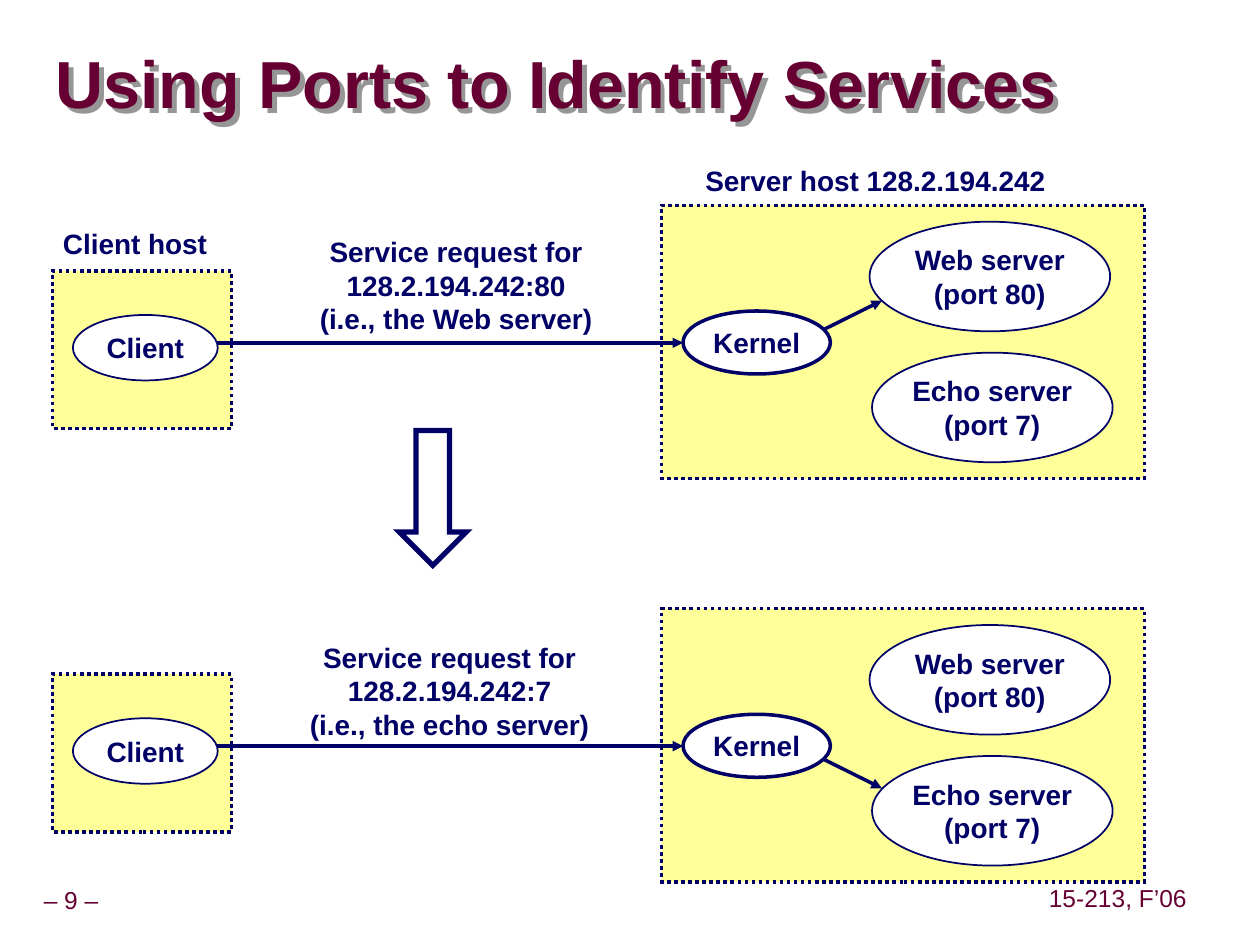
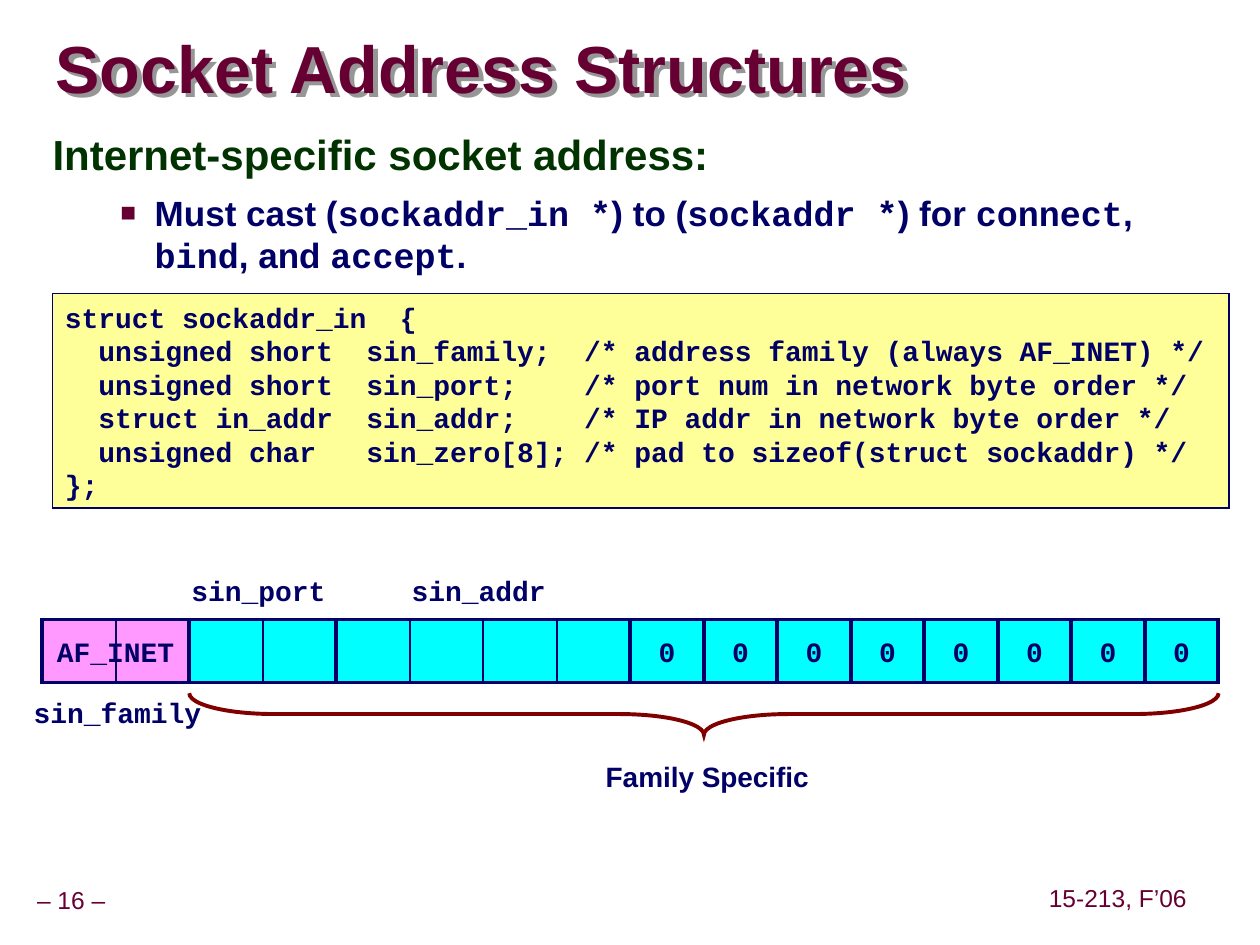
from dataclasses import dataclass
from typing import Any, NamedTuple

import pptx
import pptx.dml.color
import pptx.enum.dml
import pptx.enum.shapes
import pptx.enum.text
import pptx.oxml
import pptx.oxml.ns
import pptx.util

Cm, Pt = pptx.util.Cm, pptx.util.Pt
SHAPE = pptx.enum.shapes.MSO_SHAPE
ALIGN = pptx.enum.text.PP_ALIGN
ANCHOR = pptx.enum.text.MSO_ANCHOR
DOTTED = pptx.enum.dml.MSO_LINE.ROUND_DOT

NAVY, MAROON, GREEN, BRACE_RED = "000066", "660033", "003300", "800000"
YELLOW, PINK, CYAN, WHITE = "FFFF99", "FF99FF", "00FFFF", "FFFFFF"
SANS, MONO = "Arial", "Courier New"
LABEL_HEIGHT = 0.94


class Frame(NamedTuple):
    """Left, top, width and height in centimetres."""
    left: float
    top: float
    width: float
    height: float

    def lowered(self, distance: float) -> "Frame":
        return self._replace(top=self.top + distance)

    def lengths(self) -> list[Any]:
        return [Cm(value) for value in self]


@dataclass(frozen=True)
class TextStyle:
    size: float = 16
    font: str = SANS
    color: str = NAVY
    bold: bool = True
    align: Any = ALIGN.LEFT
    anchor: Any = ANCHOR.TOP
    wrap: bool = False
    spacing: float = 1.0
    margins: tuple[float, float] = (0.25, 0.13)


@dataclass(frozen=True)
class Scenario:
    """One request: how far down it is drawn, its label, and its way up (-1) or down (1)."""
    drop: float
    request_frame: Frame
    request: str
    direction: int
    request_wraps: bool


LABEL = TextStyle()
CENTERED = TextStyle(align=ALIGN.CENTER)
INSIDE = TextStyle(align=ALIGN.CENTER, anchor=ANCHOR.MIDDLE)
CODE_LABEL = TextStyle(font=MONO)
CODE_INSIDE = TextStyle(font=MONO, align=ALIGN.CENTER, anchor=ANCHOR.MIDDLE)
CODE_BLOCK = TextStyle(font=MONO, wrap=True)
BODY = TextStyle(wrap=True)
TITLE = TextStyle(38, color=MAROON, anchor=ANCHOR.MIDDLE, wrap=True, spacing=0.87, margins=(0, 0))
FOOTER = TextStyle(14, color=MAROON, bold=False, align=ALIGN.CENTER, anchor=ANCHOR.MIDDLE,
                   spacing=0.9, margins=(0.13, 0.13))

REQUEST_SCENARIOS = [
    Scenario(0, Frame(5.51, 4.6, 7.37, 2.29),
             "Service request for\n128.2.194.242:80\n(i.e., the Web server)", -1, True),
    Scenario(8.13, Frame(5.99, 12.78, 6.15, 2.29),
             "Service request for\n128.2.194.242:7\n(i.e., the echo server)", 1, False),
]

STRUCT_CODE = """struct sockaddr_in  {
  unsigned short  sin_family;  /* address family (always AF_INET) */
  unsigned short  sin_port;    /* port num in network byte order */
  struct in_addr  sin_addr;    /* IP addr in network byte order */
  unsigned char   sin_zero[8]; /* pad to sizeof(struct sockaddr) */
};"""

CAST_NOTE = [
    ("Must cast (", SANS), ("sockaddr_in *", MONO), (") to (", SANS), ("sockaddr *", MONO),
    (") for ", SANS), ("connect", MONO), (", ", SANS), ("bind", MONO), (", and ", SANS),
    ("accept", MONO), (".", SANS),
]


def rgb(color: str) -> Any:
    return pptx.dml.color.RGBColor.from_string(color)


def apply(target: Any, values: dict[str, Any]) -> None:
    for name, value in values.items():
        setattr(target, name, value)


def append_xml(parent: Any, tag: str, content: str = "", **attributes: Any) -> None:
    listed = " ".join(f'{name}="{value}"' for name, value in attributes.items())
    namespace = pptx.oxml.ns.nsdecls("a")
    parent.append(pptx.oxml.parse_xml(f"<a:{tag} {namespace} {listed}>{content}</a:{tag}>"))


def set_frame(box: Any, style: TextStyle) -> None:
    side, edge = (Cm(value) for value in style.margins)
    apply(box.text_frame, {
        "word_wrap": style.wrap, "vertical_anchor": style.anchor,
        "margin_left": side, "margin_right": side, "margin_top": edge, "margin_bottom": edge,
    })


def add_span(para: Any, text: str, size: float, font: str, color: str, bold: bool = True) -> None:
    span = para.add_run()
    span.text = text
    apply(span.font, {"size": Pt(size), "name": font, "bold": bold})
    span.font.color.rgb = rgb(color)


def write(box: Any, text: str, style: TextStyle) -> None:
    set_frame(box, style)
    for index, line in enumerate(text.split("\n")):
        para = box.text_frame.add_paragraph() if index else box.text_frame.paragraphs[0]
        apply(para, {"alignment": style.align, "line_spacing": style.spacing})
        add_span(para, line, style.size, style.font, style.color, style.bold)


def add_text(page: Any, frame: Frame, text: str, style: TextStyle) -> Any:
    box = page.shapes.add_textbox(*frame.lengths())
    write(box, text, style)
    return box


def add_box(page: Any, kind: Any, frame: Frame, fill: str | None, width: float,
            text: str = "", style: TextStyle = INSIDE, line: str = NAVY, dash: Any = None) -> Any:
    shape = page.shapes.add_shape(kind, *frame.lengths())
    shape.shadow.inherit = False
    if fill:
        shape.fill.solid()
        shape.fill.fore_color.rgb = rgb(fill)
    else:
        shape.fill.background()
    shape.line.color.rgb = rgb(line)
    apply(shape.line, {"width": Pt(width), "dash_style": dash})
    append_xml(shape.element.spPr.get_or_add_ln(), "miter", lim=800000)
    if text:
        write(shape, text, style)
    return shape


def add_arrow(page: Any, start: tuple[float, float], end: tuple[float, float]) -> None:
    arrow = page.shapes.add_connector(pptx.enum.shapes.MSO_CONNECTOR.STRAIGHT,
                                      *(Cm(value) for value in start + end))
    arrow.line.color.rgb = rgb(NAVY)
    arrow.line.width = Pt(2)
    properties = arrow.element.spPr
    append_xml(properties.get_or_add_ln(), "tailEnd", type="triangle")
    append_xml(properties, "effectLst")


def add_page(deck: Any, title: str, title_top: float, number: int) -> Any:
    """Add a page with its shadowed title and both footers."""
    page = deck.slides.add_slide(deck.slide_layouts[6])
    add_text(page, Frame(-0.23, 17.78, 3.33, 0.79), f"– {number} –", FOOTER)
    add_text(page, Frame(21.01, 17.75, 3.05, 0.79), "15-213, F’06", FOOTER)
    heading = add_text(page, Frame(1.12, title_top, 24.21, 2.16), title, TITLE)
    append_xml(heading.element.spPr, "effectLst",
               f'<a:outerShdw dist="{Cm(0.13)}" dir="2700000"><a:srgbClr val="969696"/></a:outerShdw>')
    return page


def add_scenario(page: Any, scenario: Scenario) -> None:
    """Draw the hosts, then the servers, the arrows, and the ovals that cover the arrow starts."""
    drop, direction = scenario.drop, scenario.direction
    middle = 6.91 + drop
    for host in (Frame(1.06, 5.46, 3.61, 3.18), Frame(13.34, 4.14, 9.73, 5.51)):
        add_box(page, SHAPE.RECTANGLE, host.lowered(drop), YELLOW, 2, dash=DOTTED)

    def add_oval(frame: Frame, width: float, text: str) -> None:
        add_box(page, SHAPE.OVAL, frame.lowered(drop), WHITE, width, text)

    add_oval(Frame(17.53, 4.47, 4.85, 2.21), 1, "Web server\n(port 80)")
    add_oval(Frame(17.58, 7.11, 4.85, 2.21), 1, "Echo server\n(port 7)")
    add_arrow(page, (4.24, middle), (13.77, middle))
    add_arrow(page, (16.51, middle + direction * 0.22), (17.78, middle + direction * 0.85))
    add_oval(Frame(13.77, 6.27, 2.97, 1.27), 2, "Kernel")
    add_oval(Frame(1.47, 6.35, 2.92, 1.32), 1, "Client")
    style = TextStyle(align=ALIGN.CENTER, wrap=scenario.request_wraps)
    add_text(page, scenario.request_frame, scenario.request, style)


def build_ports_page(deck: Any) -> None:
    page = add_page(deck, "Using Ports to Identify Services", 0.69, 9)
    for scenario in REQUEST_SCENARIOS:
        add_scenario(page, scenario)
    add_text(page, Frame(1.02, 4.43, 3.6, LABEL_HEIGHT), "Client host", LABEL)
    add_text(page, Frame(13.97, 3.16, 7.5, LABEL_HEIGHT), "Server host 128.2.194.242", LABEL)
    add_box(page, SHAPE.DOWN_ARROW, Frame(8.05, 8.68, 1.35, 2.72), None, 3)


def apply_indent(para: Any, margin: float, indent: float) -> Any:
    properties = para._p.get_or_add_pPr()
    properties.set("marL", str(Cm(margin)))
    properties.set("indent", str(Cm(indent)))
    return properties


def add_cast_note(page: Any) -> None:
    box = page.shapes.add_textbox(*Frame(0.81, 2.54, 23.09, 8.46).lengths())
    set_frame(box, BODY)
    heading = box.text_frame.paragraphs[0]
    apply(heading, {"line_spacing": 0.95, "space_before": Pt(15)})
    apply_indent(heading, 1.07, -1.07)
    add_span(heading, "Internet-specific socket address:", 24, SANS, GREEN)
    note = box.text_frame.add_paragraph()
    apply(note, {"level": 1, "space_before": Pt(6.2)})
    properties = apply_indent(note, 2.06, -0.69)
    append_xml(properties, "buClr", f'<a:srgbClr val="{MAROON}"/>')
    append_xml(properties, "buSzPct", val=75000)
    append_xml(properties, "buFont", typeface=SANS)
    append_xml(properties, "buChar", char="■")
    for text, font in CAST_NOTE:
        add_span(note, text, 20, font, NAVY)


def add_address_bytes(page: Any) -> None:
    """Draw the 16 bytes of the address, with the fields they form."""
    left, cell = 0.85, 23.71 / 16

    def bytes_frame(first: int, count: int) -> Frame:
        return Frame(left + first * cell, 12.49, count * cell, 1.27)

    for first, count, fill, text in ((2, 2, CYAN, ""), (4, 4, CYAN, ""), (0, 2, PINK, "AF_INET")):
        add_box(page, SHAPE.RECTANGLE, bytes_frame(first, count), fill, 2.25, text, CODE_INSIDE)
    outlines = page.shapes.add_group_shape()
    for index in range(8):
        add_box(outlines, SHAPE.RECTANGLE, bytes_frame(index, 1), None, 1)
    for index in range(8, 16):
        add_box(page, SHAPE.RECTANGLE, bytes_frame(index, 1), CYAN, 2.25, "0", CODE_INSIDE)


def build_address_page(deck: Any) -> None:
    page = add_page(deck, "Socket Address Structures", 0.38, 16)
    add_cast_note(page)
    add_box(page, SHAPE.RECTANGLE, Frame(1.06, 5.92, 23.71, 4.32), YELLOW, 1, STRUCT_CODE, CODE_BLOCK)
    add_address_bytes(page)
    for left, top, width, text, style in (
        (0.43, 13.89, 4, "sin_family", CODE_LABEL),
        (3.61, 11.43, 3.4, "sin_port", CODE_LABEL),
        (8.05, 11.43, 3.4, "sin_addr", CODE_LABEL),
        (11.96, 15.19, 4.6, "Family Specific", CENTERED),
    ):
        add_text(page, Frame(left, top, width, LABEL_HEIGHT), text, style)
    brace = add_box(page, SHAPE.RIGHT_BRACE, Frame(13.77, 4.02, 0.84, 20.75), None, 2.25, line=BRACE_RED)
    brace.rotation = 90
    brace.adjustments[0] = 2.04


def main() -> None:
    deck = pptx.Presentation()
    apply(deck, {"slide_width": Cm(25.4), "slide_height": Cm(19.05)})
    build_ports_page(deck)
    build_address_page(deck)
    deck.save("out.pptx")


if __name__ == "__main__":
    main()
